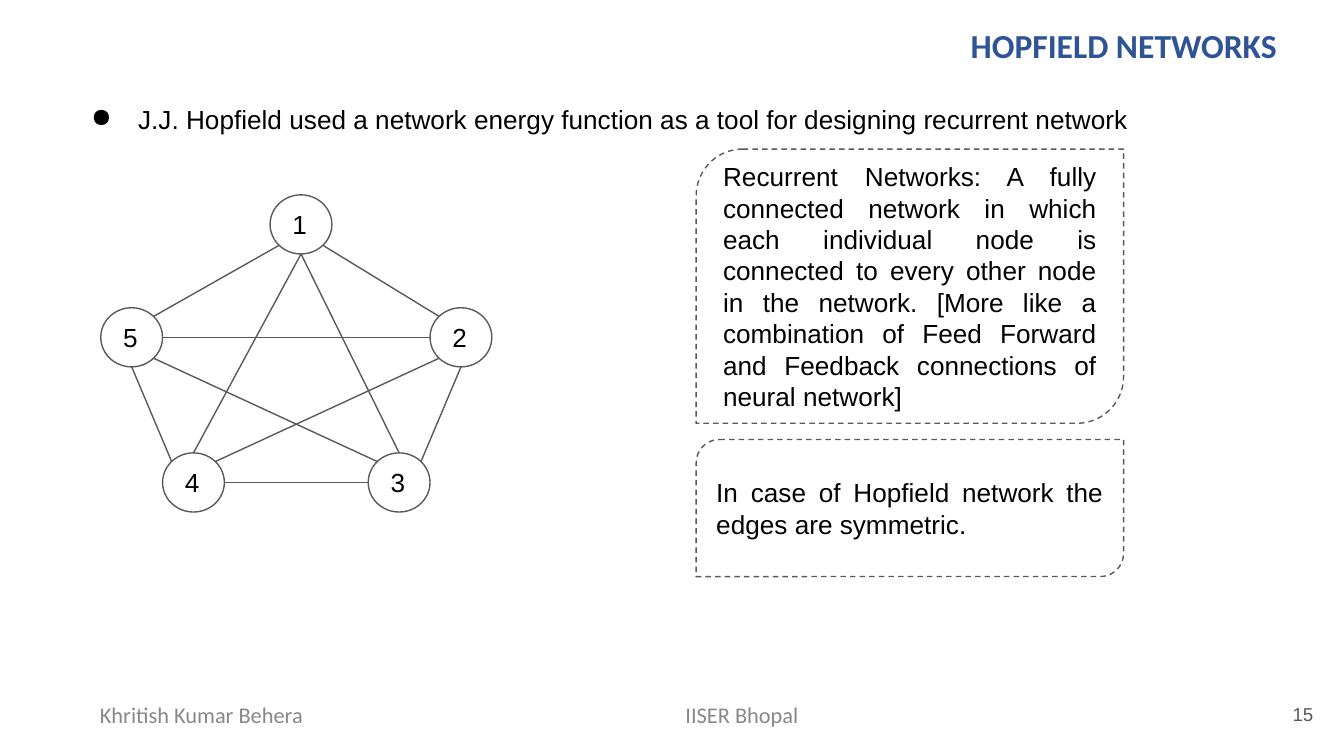
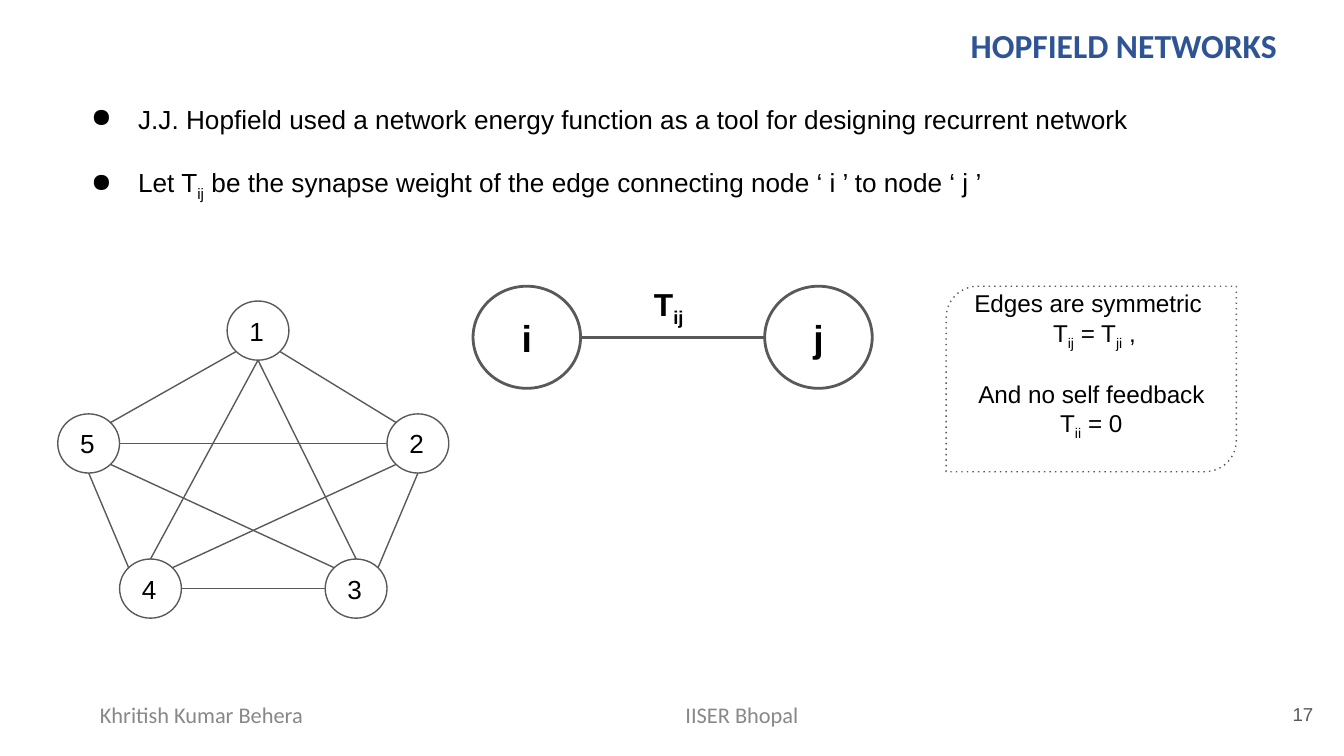
from dataclasses import dataclass
from math import sqrt

from lxml import etree
from pptx import Presentation
from pptx import util as u
from pptx.dml.color import RGBColor
from pptx.enum import shapes, text
from pptx.oxml.ns import qn

PX = u.Inches(1) // 100
ALIGN = text.PP_ALIGN
MIDDLE = text.MSO_ANCHOR.MIDDLE


@dataclass(frozen=True)
class Theme:
    ink: str = "000000"
    outline: str = "595959"
    title: str = "2F5496"
    footer: str = "888888"
    body_font: str = "Arial"
    title_font: str = "Calibri"
    number_size: int = 10
    footer_size: int = 12
    rule_size: int = 13
    body_size: int = 14
    weight_size: int = 17
    title_size: int = 18
    pair_size: int = 20
    thin: float = 0.75
    thick: float = 1.5
    corner: float = 0.17


THEME = Theme()
TITLE = "HOPFIELD NETWORKS"
AUTHOR = "Khritish Kumar Behera"
INSTITUTE = "IISER Bhopal "
INTRO = "J.J. Hopfield used a network energy function as a tool for designing recurrent network"
SYNAPSE = "Let T_ij_ be the synapse weight of the edge connecting node ‘ i ’ to node ‘ j ’"
RECURRENT = (
    "Recurrent Networks: A fully connected network in which each individual node "
    "is connected to every other node in the network. [More like a combination of "
    "Feed Forward and Feedback connections of neural network]"
)
SYMMETRIC = "In case of Hopfield network the edges are symmetric."
RULES = ["Edges are symmetric ", " T_ij_ = T_ji_ ,", "And no self feedback", "T_ii_ = 0"]

NODE_SIZE = (46, 44)
NODES = {"1": (126, 0), "5": (0, 84), "2": (245, 84), "4": (46, 192), "3": (199, 192)}
DIAGONAL = 1 / sqrt(2)
SITES = {
    "top": (0, -1), "bottom": (0, 1), "left": (-1, 0), "right": (1, 0),
    "top left": (-DIAGONAL, -DIAGONAL), "top right": (DIAGONAL, -DIAGONAL),
    "bottom left": (-DIAGONAL, DIAGONAL), "bottom right": (DIAGONAL, DIAGONAL),
}
EDGES = [
    ("1", "bottom left", "5", "top right"),
    ("5", "bottom", "4", "top left"),
    ("4", "right", "3", "left"),
    ("3", "top right", "2", "bottom"),
    ("2", "top left", "1", "bottom right"),
    ("5", "right", "2", "left"),
    ("4", "top right", "2", "bottom left"),
    ("3", "top left", "5", "bottom right"),
    ("1", "bottom", "4", "top"),
    ("1", "bottom", "3", "top"),
]


def emu(*lengths):
    return [round(length * PX) for length in lengths]


def color(value):
    return RGBColor.from_string(value)


def add_bullet(para):
    props = para._p.get_or_add_pPr()
    props.set("marL", str(50 * PX))
    props.set("indent", str(-35 * PX))
    tint = etree.SubElement(props, qn("a:buClr"))
    etree.SubElement(tint, qn("a:srgbClr")).set("val", THEME.ink)
    etree.SubElement(props, qn("a:buChar")).set("char", "●")


def add_spans(para, words, size=None):
    for index, part in enumerate(words.split("_")):
        span = para.add_run()
        span.text = part
        span.font.size = size
        if index % 2:
            span._r.get_or_add_rPr().set("baseline", "-25000")


def write(shape, lines, size, align=ALIGN.LEFT, font=THEME.body_font, ink=THEME.ink,
          bold=False, anchor=MIDDLE, inset=10, bottom=None, bullets=False, gaps=None):
    frame = shape.text_frame
    frame.word_wrap = True
    frame.vertical_anchor = anchor
    frame.margin_left = frame.margin_right = 10 * PX
    frame.margin_top = inset * PX
    frame.margin_bottom = (bottom or inset) * PX
    for index, words in enumerate(lines):
        para = frame.add_paragraph() if index else frame.paragraphs[0]
        if bullets:
            add_bullet(para)
        para.alignment = align
        para.space_before = u.Pt((gaps or {}).get(index, 0))
        para.font.name = font
        para.font.size = u.Pt(size)
        para.font.bold = bold
        para.font.color.rgb = color(ink)
        add_spans(para, words, u.Pt(size) if bullets else None)


def add_text(page, box, lines, size, **style):
    label = page.shapes.add_textbox(*emu(*box))
    write(label, lines, size, **style)
    return label


def add_growing_text(page, box, lines, size, **style):
    label = add_text(page, box, lines, size, anchor=text.MSO_ANCHOR.TOP, **style)
    label.text_frame.auto_size = text.MSO_AUTO_SIZE.SHAPE_TO_FIT_TEXT


def add_outline(page, kind, box, weight):
    shape = page.shapes.add_shape(kind, *emu(*box))
    shape.shadow.inherit = False
    shape.fill.background()
    shape.line.color.rgb = color(THEME.outline)
    shape.line.width = u.Pt(weight)
    return shape


def add_node(page, box, name, weight, size, **style):
    node = add_outline(page, shapes.MSO_SHAPE.OVAL, box, weight)
    write(node, [name], size, **style)


def add_callout(page, box, lines, size, dash, **style):
    callout = add_outline(page, shapes.MSO_SHAPE.ROUND_2_DIAG_RECTANGLE, box, THEME.thin)
    callout.adjustments[0] = THEME.corner
    callout.adjustments[1] = 0
    outline = callout._element.spPr.find(qn("a:ln"))
    etree.SubElement(outline, qn("a:prstDash")).set("val", dash)
    write(callout, lines, size, **style)


def add_edge(page, start, end, weight):
    edge = page.shapes.add_connector(shapes.MSO_CONNECTOR.STRAIGHT, *emu(*start, *end))
    edge.line.color.rgb = color(THEME.outline)
    edge.line.width = u.Pt(weight)
    etree.SubElement(edge._element.spPr, qn("a:effectLst"))


def site_point(box, site):
    left, top, width, height = box
    across, down = SITES[site]
    return left + width / 2 * (1 + across), top + height / 2 * (1 + down)


def add_network(page, left, top):
    boxes = {name: (left + x, top + y, *NODE_SIZE) for name, (x, y) in NODES.items()}
    for name, box in boxes.items():
        add_node(page, box, name, THEME.thin, THEME.body_size)
    for first, first_site, second, second_site in EDGES:
        add_edge(page, site_point(boxes[first], first_site),
                 site_point(boxes[second], second_site), THEME.thin)


def add_node_pair(page, box):
    left, top, width, height = box
    node_width = 80
    first = (left, top, node_width, height)
    second = (left + width - node_width, top, node_width, height)
    for name, node_box in (("i", first), ("j", second)):
        add_node(page, node_box, name, THEME.thick, THEME.pair_size,
                 align=ALIGN.CENTER, bold=True)
    add_edge(page, site_point(first, "right"), site_point(second, "left"), THEME.thick)
    add_growing_text(page, (left + 121, top - 11, 53, 49), ["T_ij _"], THEME.weight_size,
                     align=ALIGN.CENTER, bold=True)


def add_footer(page, box, number):
    left, top, width, height = box
    for offset, words in ((404, INSTITUTE), (0, AUTHOR)):
        add_text(page, (left + offset, top, 300, height), [words], THEME.footer_size,
                 align=ALIGN.CENTER, font=THEME.title_font, ink=THEME.footer, inset=5)
    add_text(page, (left + width - 60, top - 2, 60, height + 3), [str(number)],
             THEME.number_size, align=ALIGN.RIGHT, ink=THEME.outline)


def add_page(deck, number, points, points_height):
    page = deck.slides.add_slide(deck.slide_layouts[6])
    add_footer(page, (0, 512, 987, 40), number)
    add_growing_text(page, (642, 14, 318, 40), [TITLE], THEME.title_size,
                     align=ALIGN.RIGHT, font=THEME.title_font, ink=THEME.title,
                     bold=True, inset=5)
    add_growing_text(page, (43, 67, 914, points_height), points, THEME.body_size,
                     align=ALIGN.JUSTIFY, bullets=True, gaps={1: 17})
    return page


def build_definition_page(deck):
    page = add_page(deck, 15, [INTRO], 44)
    for top, height, words in ((111, 204, RECURRENT), (327, 102, SYMMETRIC)):
        add_callout(page, (518, top, 318, height), [words], THEME.body_size,
                    "dash", align=ALIGN.JUSTIFY)
    add_network(page, 75, 145)


def build_weights_page(deck):
    page = add_page(deck, 17, [INTRO, SYNAPSE], 91)
    add_node_pair(page, (352, 213, 297, 76))
    add_callout(page, (704, 213, 216, 138), RULES, THEME.rule_size,
                "dot", align=ALIGN.CENTER, bottom=31, gaps={2: 15})
    add_network(page, 43, 224)


def main():
    deck = Presentation()
    deck.slide_width = 1000 * PX
    deck.slide_height = deck.slide_width * 9 // 16
    build_definition_page(deck)
    build_weights_page(deck)
    deck.save("out.pptx")


if __name__ == "__main__":
    main()
